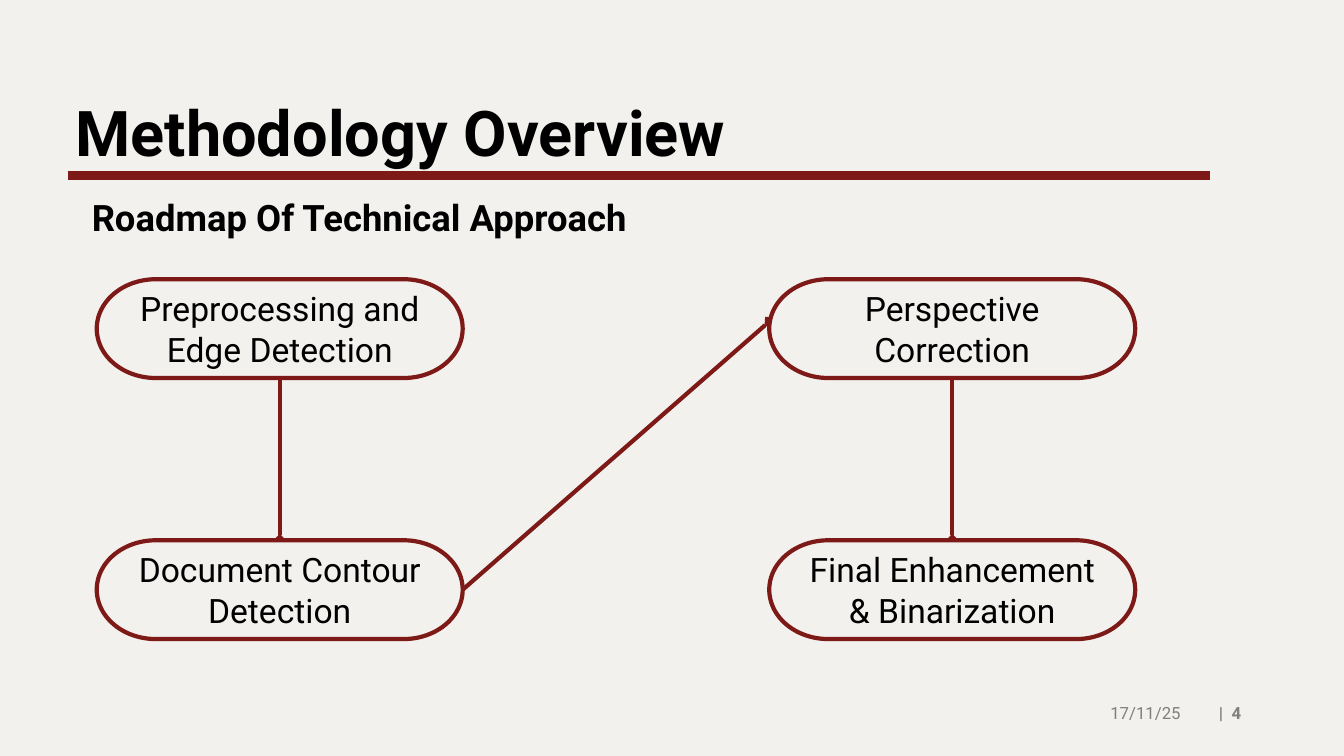
from itertools import pairwise

from lxml.etree import SubElement
from pptx import Presentation
from pptx.dml.color import RGBColor
from pptx.enum.shapes import MSO_CONNECTOR as Connector, MSO_SHAPE as Shape
from pptx.enum.text import MSO_ANCHOR as Anchor, MSO_AUTO_SIZE as AutoSize, PP_ALIGN as Align
from pptx.oxml.ns import qn
from pptx.util import Inches, Pt

PAPER, MAROON, INK, GREY = "F2F1EE", "7D1916", "000000", "7F7F7F"
FONT = "Roboto"
TOP, LEFT, BOTTOM, RIGHT = range(4)

# Step grid: left edge and top edge of the first cell, then cell pitch and size.
GRID_LEFT, GRID_TOP = 0.96, 2.77
COLUMN_PITCH, ROW_PITCH = 6.67, 2.59
STEP_WIDTH, STEP_HEIGHT = 3.63, 0.98
STEPS = [
    ("Preprocessing and Edge Detection", 0, 0),
    ("Document Contour Detection", 0, 1),
    ("Perspective Correction", 1, 0),
    ("Final Enhancement & Binarization", 1, 1),
]


def color(value):
    return RGBColor.from_string(value)


def place(shape, box):
    shape.left, shape.top, shape.width, shape.height = map(Inches, box)


def write(shape, text, size, ink=INK, bold=False, align=Align.LEFT, anchor=Anchor.MIDDLE):
    frame = shape.text_frame
    frame.text = text
    frame.word_wrap = True
    frame.auto_size = AutoSize.NONE
    frame.vertical_anchor = anchor
    para = frame.paragraphs[0]
    para.alignment = align
    font = para.runs[0].font
    font.name, font.size, font.bold = FONT, Pt(size), bold
    font.color.rgb = color(ink)
    return para


def add_line(page, start, end, width):
    line = page.shapes.add_connector(Connector.STRAIGHT, *map(Inches, start + end))
    line.line.color.rgb = color(MAROON)
    line.line.width = Pt(width)
    SubElement(line._element.spPr, qn("a:effectLst"))
    return line


def add_heading(page, box):
    left, top, width, height = box
    title = page.shapes.title
    place(title, box)
    write(title, "Methodology Overview", 45, bold=True, anchor=Anchor.BOTTOM).line_spacing = 0.9
    rule = top + height
    add_line(page, (left + 0.02, rule), (left + width - 0.15, rule), 6)


def add_subheading(page, box):
    body = page.placeholders[1]
    place(body, box)
    para = write(body, "Roadmap Of Technical Approach", 26, bold=True, anchor=Anchor.TOP)
    properties = para._p.get_or_add_pPr()
    properties.set("marL", str(Inches(0.25)))
    properties.set("indent", str(Inches(-0.08)))
    SubElement(properties, qn("a:buNone"))
    para.line_spacing = 0.9
    para.space_before = Pt(0)


def add_step(page, text, box):
    step = page.shapes.add_shape(Shape.FLOWCHART_TERMINATOR, *map(Inches, box))
    step.shadow.inherit = False
    step.fill.solid()
    step.fill.fore_color.rgb = color(PAPER)
    step.line.color.rgb = color(MAROON)
    step.line.width = Pt(3)
    frame = step.text_frame
    frame.margin_left = frame.margin_right = frame.margin_top = frame.margin_bottom = Inches(0.1)
    write(step, text, 24, align=Align.CENTER)
    return step


def link_steps(page, source, target):
    """Join two steps, leaving the target in front of the diamond."""
    same_column = source.left == target.left
    entry = (target.left.inches, target.top.inches + 0.42)
    link = add_line(page, (0, 0), entry, 3)
    link.begin_connect(source, BOTTOM if same_column else RIGHT)
    if same_column:
        link.end_connect(target, TOP)
    SubElement(link.line._get_or_add_ln(), qn("a:tailEnd"), type="diamond")
    page.shapes._spTree.append(target._element)


def add_roadmap(page, left, top):
    steps = [
        add_step(page, text, (left + column * COLUMN_PITCH, top + row * ROW_PITCH,
                              STEP_WIDTH, STEP_HEIGHT))
        for text, column, row in STEPS
    ]
    for source, target in pairwise(steps):
        link_steps(page, source, target)


def add_footer(page, box):
    left, top, width, height = box
    number_width = 0.6
    date_width = width - number_width
    for text, start, span_width, bold in (
        ("17/11/25", left, date_width, False),
        ("|  4", left + date_width, number_width, True),
    ):
        label = page.shapes.add_textbox(*map(Inches, (start, top, span_width, height)))
        write(label, text, 12, GREY, bold, Align.RIGHT)


def main():
    deck = Presentation()
    deck.slide_width, deck.slide_height = Inches(13.33), Inches(7.5)
    page = deck.slides.add_slide(deck.slide_layouts[1])
    page.background.fill.solid()
    page.background.fill.fore_color.rgb = color(PAPER)
    add_heading(page, (0.65, 0.29, 11.5, 1.45))
    add_subheading(page, (0.64, 1.93, 11.5, 4.76))
    add_roadmap(page, GRID_LEFT, GRID_TOP)
    add_footer(page, (8.67, 6.87, 3.74, 0.41))
    deck.save("out.pptx")


if __name__ == "__main__":
    main()
